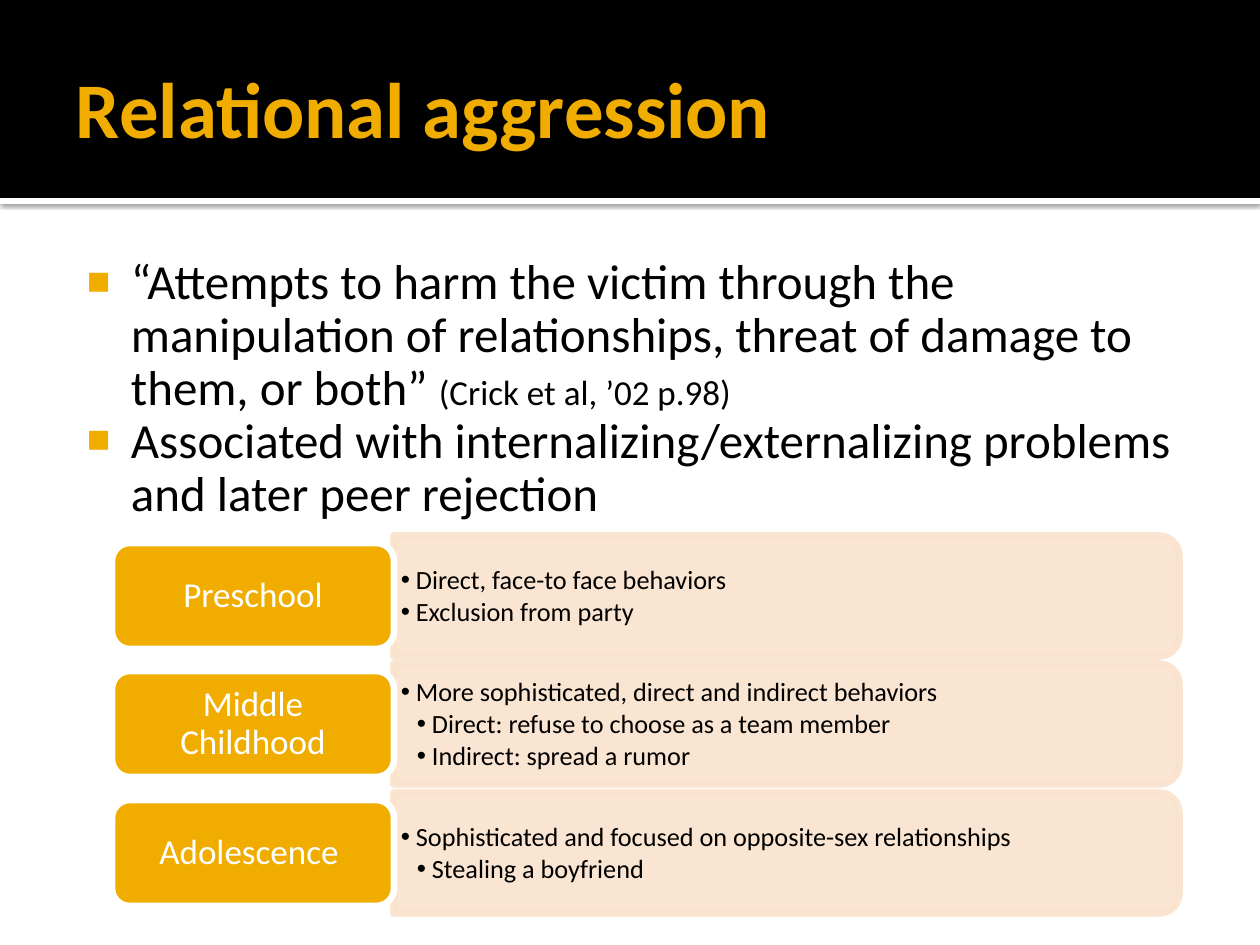
"""Build the slide on relational aggression with its three age stages."""
from lxml.etree import SubElement
from pptx import Presentation
from pptx.dml.color import RGBColor
from pptx.enum.shapes import MSO_SHAPE
from pptx.enum.text import MSO_ANCHOR, PP_ALIGN
from pptx.oxml.ns import qn
from pptx.util import Emu, Pt

COLORS = {"black": "000000", "white": "FFFFFF", "gold": "F0AD00", "peach": "F9E3CC"}
COLOR = {name: RGBColor.from_string(value) for name, value in COLORS.items()}
PX = 914400 / 126


def add_box(kind, bounds, fill=None, line=None, anchor=MSO_ANCHOR.MIDDLE, insets=(0, 0, 0, 0)):
    left, top, width, height = [Emu(round(n * PX)) for n in bounds]
    if kind is None:
        box = slide.shapes.add_textbox(left, top, width, height)
    else:
        box = slide.shapes.add_shape(kind, left, top, width, height)
        box.shadow.inherit = False
        box.fill.solid()
        box.fill.fore_color.rgb = COLOR[fill]
        if line:
            box.line.color.rgb = COLOR[line]
            box.line.width = Pt(3.78)
        else:
            box.line.fill.background()
    frame = box.text_frame
    frame.word_wrap = True
    frame.vertical_anchor = anchor
    frame.margin_left, frame.margin_top, frame.margin_right, frame.margin_bottom = [
        Emu(round(n * PX)) for n in insets]
    return box


def style_paragraph(paragraph, size, color, bullet=None, indent=0, hang=0, bullet_color=None):
    if bullet:
        properties = paragraph._p.get_or_add_pPr()
        properties.set("marL", str(round(indent * PX)))
        properties.set("indent", str(round(-hang * PX)))
        if bullet_color:
            holder = SubElement(properties, qn("a:buClr"))
            SubElement(holder, qn("a:srgbClr"), val=COLORS[bullet_color])
            SubElement(properties, qn("a:buSzPct"), val="80000")
        SubElement(properties, qn("a:buFont"), typeface="Arial")
        SubElement(properties, qn("a:buChar"), char=bullet)
    paragraph.line_spacing = 0.9
    for run in paragraph.runs:
        run.font.name = "Calibri"
        run.font.size = Pt(size)
        run.font.color.rgb = COLOR[color]


presentation = Presentation()
presentation.slide_width = Emu(round(1260 * PX))
presentation.slide_height = Emu(round(945 * PX))
slide = presentation.slides.add_slide(presentation.slide_layouts[6])

divider = add_box(MSO_SHAPE.RECTANGLE, (0, 198, 1260, 6), "white")
effects = divider._element.spPr.find(qn("a:effectLst"))
shadow = SubElement(effects, qn("a:outerShdw"), blurRad=str(Pt(2.5)), dist=str(Pt(0.8)),
                    dir="5400000", algn="t", rotWithShape="0")
shade = SubElement(shadow, qn("a:srgbClr"), val=COLORS["black"])
SubElement(shade, qn("a:alpha"), val="60000")
add_box(MSO_SHAPE.RECTANGLE, (0, 0, 1260, 198), "black")

title = add_box(None, (63, 21, 1134, 173), insets=(13, 6, 6, 6)).text_frame.paragraphs[0]
title.text = "Relational aggression"
style_paragraph(title, 45, "gold")
title.line_spacing = 1.0
title.runs[0].font.bold = True

definition = add_box(None, (63, 244, 1134, 638), anchor=MSO_ANCHOR.TOP,
                     insets=(8, 13, 13, 6)).text_frame
definition.text = (
    "“Attempts to harm the victim through the manipulation of relationships, "
    "threat of damage to them, or both” \n"
    "Associated with internalizing/externalizing problems and later peer rejection")
citation = definition.paragraphs[0].add_run()
citation.text = "(Crick et al, ’02 p.98)"
for point in definition.paragraphs:
    style_paragraph(point, 28, "black", "■", 60, 44, "gold")
citation.font.size = Pt(20)

stages = [
    ("Preschool", [(0, "Direct, face-to face behaviors"), (0, "Exclusion from party")]),
    ("Middle Childhood", [(0, "More sophisticated, direct and indirect behaviors"),
                          (1, "Direct: refuse to choose as a team member"),
                          (1, "Indirect: spread a rumor")]),
    ("Adolescence ", [(0, "Sophisticated and focused on opposite-sex relationships"),
                      (1, "Stealing a boyfriend")]),
]
for index, (stage, behaviors) in enumerate(stages):
    top = 542 + index * 257 // 2
    panel = add_box(MSO_SHAPE.ROUND_2_SAME_RECTANGLE, (726, top - 339, 121, 786), "peach", "peach")
    panel.rotation = 90
    for tint in panel._element.spPr.iter(qn("a:srgbClr")):
        SubElement(tint, qn("a:alpha"), val="90000")

    details = add_box(None, (393, top, 780, 110), insets=(8, 4, 8, 4)).text_frame
    details.text = "\n".join(behavior for _, behavior in behaviors)
    for paragraph, (depth, _) in zip(details.paragraphs, behaviors):
        paragraph.level = depth + 1
        style_paragraph(paragraph, 15, "black", "•", 15 + 16 * depth, 15)
        paragraph.space_after = Pt(2)

    label = add_box(MSO_SHAPE.ROUNDED_RECTANGLE, (112, top + 1, 282, 106), "gold", "white",
                    insets=(10, 5, 10, 5)).text_frame
    label.text = stage
    label.paragraphs[0].alignment = PP_ALIGN.CENTER
    style_paragraph(label.paragraphs[0], 20, "white")

presentation.save("out.pptx")
